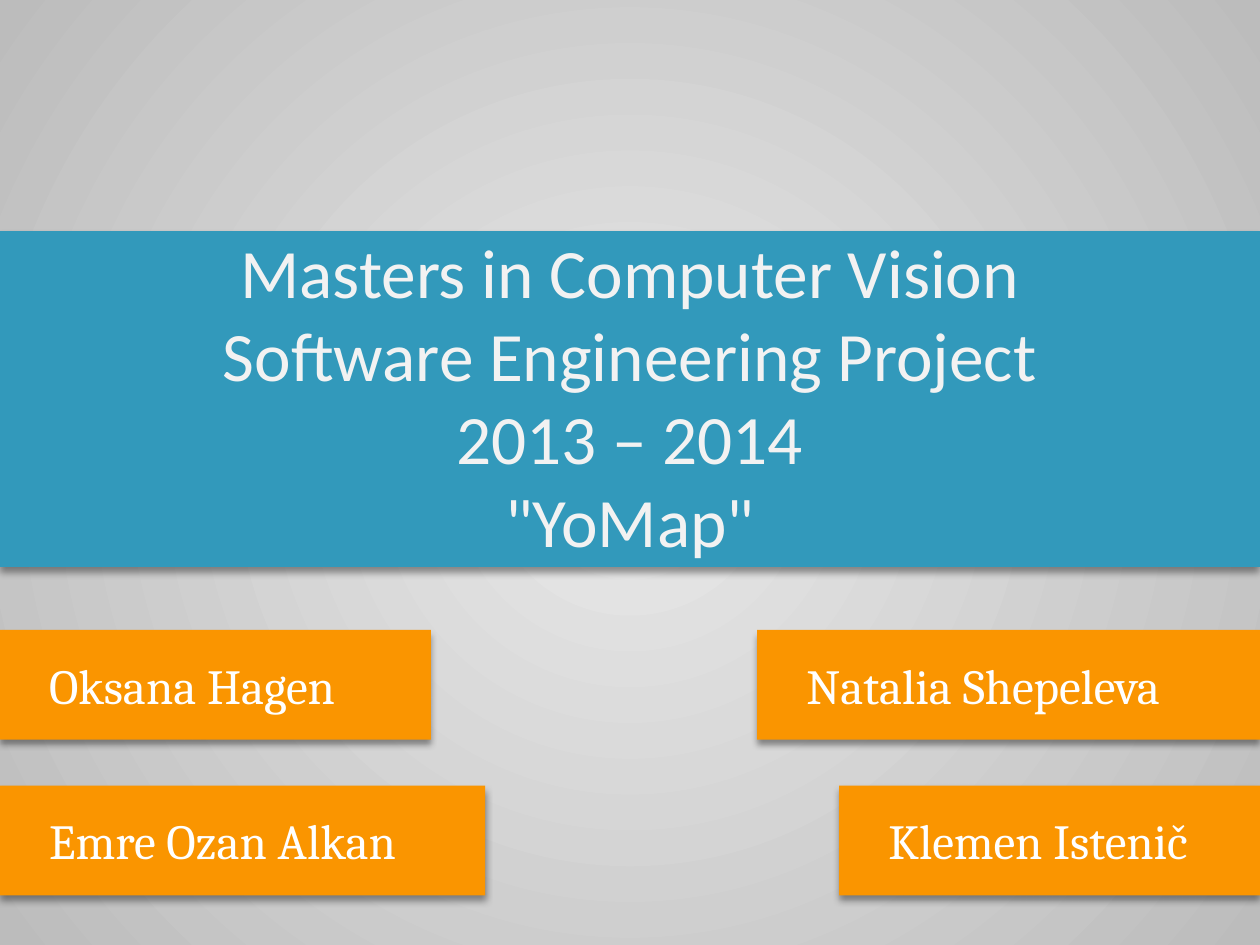
"""Build the title slide of a software engineering project."""
from lxml.etree import SubElement
from pptx import Presentation
from pptx.dml.color import RGBColor
from pptx.enum.shapes import MSO_SHAPE as Preset
from pptx.enum.text import MSO_ANCHOR as Anchor, MSO_AUTO_SIZE as AutoSize, PP_ALIGN as Align
from pptx.oxml.ns import qn
from pptx.util import Pt

SLIDE_WIDTH, SLIDE_HEIGHT = 720, 540
BAND_TOP, BAND_HEIGHT = 132, 192
CARD_HEIGHT = 62.64
AUTHOR_ROWS = [
    (360, ("Oksana Hagen", 246.24), ("Natalia Shepeleva", 287.28)),
    (449, ("Emre Ozan Alkan", 277.2), ("Klemen Istenič", 240.48)),
]


def color(hex_value):
    return RGBColor.from_string(hex_value)


class TitleSlide:
    heading_font, name_font = "Calibri", "Cambria"
    band_fill, card_fill = "3299BB", "FA9500"
    heading_color, name_color = "F2F2F2", "FFFFFF"
    center_color, edge_color = "E9E9E9", "BCBCBC"

    def __init__(self, deck):
        self.slide = deck.slides.add_slide(deck.slide_layouts[5])

    def background(self):
        fill = self.slide.background.fill
        fill.gradient()
        for stop, shade in zip(fill.gradient_stops, (self.center_color, self.edge_color)):
            stop.color.rgb = color(shade)
        gradient = self.slide.element.find(".//" + qn("a:gradFill"))
        gradient.remove(gradient.find(qn("a:lin")))
        circle = SubElement(gradient, qn("a:path"), {"path": "circle"})
        SubElement(circle, qn("a:fillToRect"), dict.fromkeys("ltrb", "50000"))

    def block(self, left, top, width, height, fill):
        block = self.slide.shapes.add_shape(
            Preset.RECTANGLE, Pt(left), Pt(top), Pt(width), Pt(height))
        block.fill.solid()
        block.fill.fore_color.rgb = color(fill)
        block.line.fill.background()
        self.drop_shadow(block)
        return block

    def drop_shadow(self, block):
        block.shadow.inherit = False
        effects = block.element.find(".//" + qn("a:effectLst"))
        shadow = SubElement(effects, qn("a:outerShdw"), {
            "blurRad": str(Pt(4)), "dist": str(Pt(3)), "dir": "5400000",
            "algn": "t", "rotWithShape": "0"})
        black = SubElement(shadow, qn("a:srgbClr"), val="000000")
        SubElement(black, qn("a:alpha"), val="40000")

    def style(self, paragraph, align, font_name, size, shade):
        paragraph.alignment = align
        for run in paragraph.runs:
            run.font.name = font_name
            run.font.size = Pt(size)
            run.font.color.rgb = color(shade)

    def heading(self, lines):
        band = self.block(0, BAND_TOP, SLIDE_WIDTH, BAND_HEIGHT, self.band_fill)
        title = self.slide.shapes.title
        title.element.addprevious(band.element)
        title.left, title.top, title.width, title.height = Pt(54), Pt(168), Pt(612), Pt(116)
        frame = title.text_frame
        frame.text = "\v".join(lines)
        frame.auto_size = AutoSize.NONE
        frame.vertical_anchor = Anchor.MIDDLE
        self.style(frame.paragraphs[0], Align.CENTER, self.heading_font, 39.6, self.heading_color)

    def author(self, name, left, top, width):
        card = self.block(left, top, width, CARD_HEIGHT, self.card_fill)
        frame = card.text_frame
        frame.text = name
        frame.word_wrap = False
        frame.auto_size = AutoSize.SHAPE_TO_FIT_TEXT
        frame.vertical_anchor = Anchor.TOP
        frame.margin_left = frame.margin_right = Pt(28.08)
        frame.margin_top = frame.margin_bottom = Pt(14.4)
        self.style(frame.paragraphs[0], Align.LEFT, self.name_font, 28, self.name_color)


def main():
    deck = Presentation()
    deck.slide_width, deck.slide_height = Pt(SLIDE_WIDTH), Pt(SLIDE_HEIGHT)
    cover = TitleSlide(deck)
    cover.background()
    cover.heading(["Masters in Computer Vision", "Software Engineering Project",
                   "2013 – 2014", '"YoMap"'])
    for top, (left_name, left_width), (right_name, right_width) in AUTHOR_ROWS:
        cover.author(left_name, 0, top, left_width)
        cover.author(right_name, SLIDE_WIDTH - right_width, top, right_width)
    deck.save("out.pptx")


if __name__ == "__main__":
    main()
